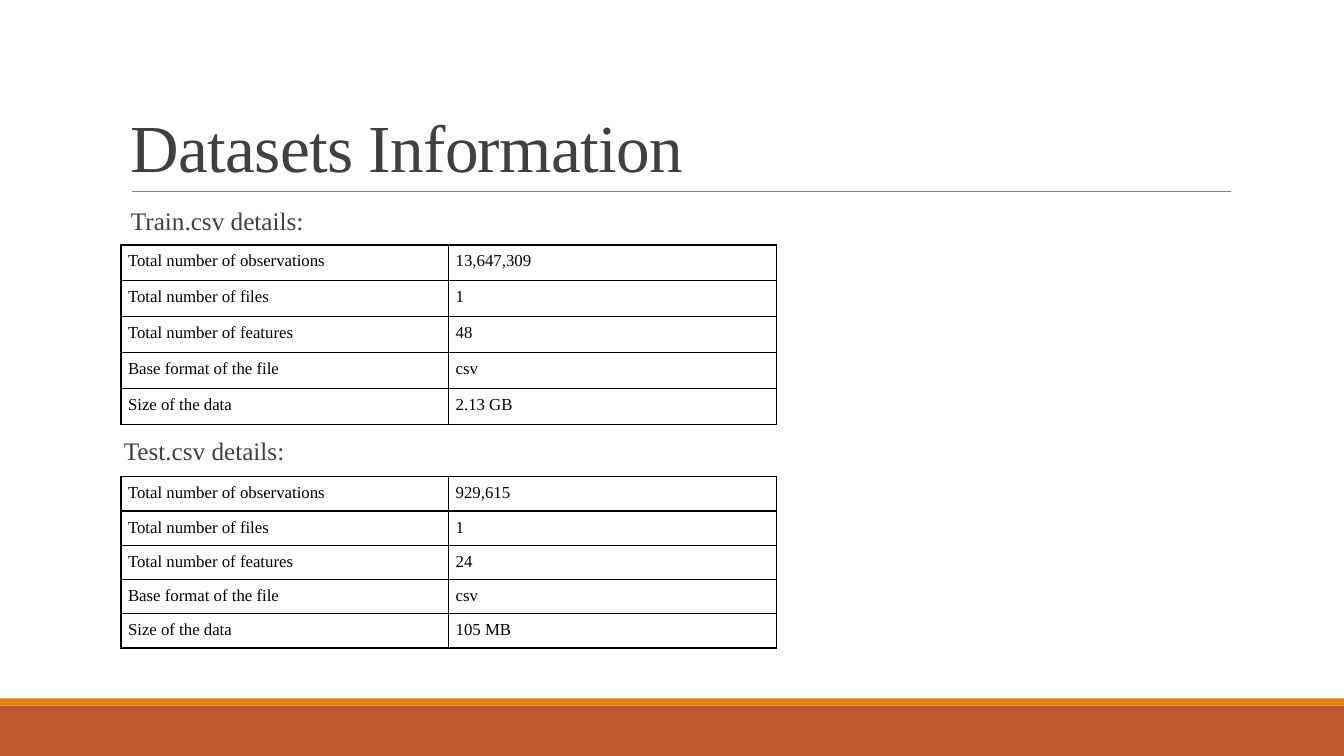
from lxml import etree
from pptx import Presentation
from pptx.dml.color import RGBColor
from pptx.enum.shapes import MSO_CONNECTOR, MSO_SHAPE
from pptx.enum.text import MSO_ANCHOR
from pptx.oxml.ns import qn
from pptx.util import Inches, Pt

RECTANGLE = MSO_SHAPE.RECTANGLE
STRAIGHT = MSO_CONNECTOR.STRAIGHT
TOP, BOTTOM = MSO_ANCHOR.TOP, MSO_ANCHOR.BOTTOM

FONT = "Times New Roman"
GREY, BLACK = "404040", "000000"
SLIDE_WIDTH, SLIDE_HEIGHT = 13.33, 7.5
TABLE_LEFT, TABLE_WIDTH = 1.2, 6.5
CELL_MARGIN = 0.07
LABELS = [
    "Total number of observations",
    "Total number of files",
    "Total number of features",
    "Base format of the file",
    "Size of the data",
]
TRAIN_VALUES = ["13,647,309", "1", "48", "csv", "2.13 GB"]
TEST_VALUES = ["929,615", "1", "24", "csv", "105 MB"]


def color(value):
    """Turn a hex string into a colour."""
    return RGBColor.from_string(value)


def format_runs(paragraph, size, hex_color):
    """Set the font of every run in a paragraph."""
    for run in paragraph.runs:
        run.font.name = FONT
        run.font.size = Pt(size)
        run.font.color.rgb = color(hex_color)


def add_text(slide, box, text, size, anchor=TOP, line_spacing=1.0):
    """Add a one-paragraph text box and return its paragraph."""
    text_frame = slide.shapes.add_textbox(*map(Inches, box)).text_frame
    text_frame.word_wrap = True
    text_frame.vertical_anchor = anchor
    text_frame.text = text
    paragraph = text_frame.paragraphs[0]
    paragraph.line_spacing = line_spacing
    format_runs(paragraph, size, GREY)
    return paragraph


def add_band(slide, box, hex_color):
    """Add a plain filled band."""
    band = slide.shapes.add_shape(RECTANGLE, *map(Inches, box))
    band.shadow.inherit = False
    band.fill.solid()
    band.fill.fore_color.rgb = color(hex_color)
    band.line.fill.background()


def add_footer(slide, top, stripe_height):
    """Add the footer band with a thin stripe along its upper edge."""
    add_band(slide, (0, top + stripe_height, SLIDE_WIDTH,
                     SLIDE_HEIGHT - top - stripe_height), "BD582C")
    add_band(slide, (0, top, SLIDE_WIDTH, stripe_height), "E48312")


def add_title(slide, box, text):
    """Add the title and the rule under it."""
    left, top, width, height = box
    bottom = top + height
    rule = slide.shapes.add_connector(
        STRAIGHT, Inches(left + 0.11), Inches(bottom),
        Inches(left + width + 0.01), Inches(bottom))
    rule.line.color.rgb = color("808080")
    rule.line.width = Pt(0.5)
    etree.SubElement(rule._element.spPr, qn("a:effectLst"))
    paragraph = add_text(slide, box, text, 48, BOTTOM, 0.85)
    for run in paragraph.runs:
        run._r.get_or_add_rPr().set("spc", "-50")


def add_borders(cell):
    """Draw a thin black line on each side of a cell."""
    properties = cell._tc.get_or_add_tcPr()
    for index, side in enumerate(("a:lnL", "a:lnR", "a:lnT", "a:lnB")):
        line = etree.Element(qn(side), w=str(Pt(1)))
        fill = etree.SubElement(line, qn("a:solidFill"))
        etree.SubElement(fill, qn("a:srgbClr"), val=BLACK)
        properties.insert(index, line)


def add_details_table(slide, box, values):
    """Add a two-column table of labels and values."""
    left, top, width, height = box
    table = slide.shapes.add_table(
        len(LABELS), 2, Inches(left), Inches(top),
        Inches(width), Inches(height)).table
    table.first_row = False
    table.horz_banding = False
    for row, texts in zip(table.rows, zip(LABELS, values)):
        for cell, text in zip(row.cells, texts):
            cell.text_frame.text = text
            format_runs(cell.text_frame.paragraphs[0], 12, BLACK)
            cell.margin_left = cell.margin_right = Inches(CELL_MARGIN)
            cell.margin_top = cell.margin_bottom = Inches(CELL_MARGIN)
            cell.fill.background()
            add_borders(cell)


def build_slide(slide):
    """Place the title, both dataset sections and the footer."""
    add_footer(slide, 6.93, 0.07)
    add_title(slide, (1.2, 1.08, 11, 0.82), "Datasets Information")
    add_text(slide, (1.2, 2.02, 11, 0.4), "Train.csv details:", 18,
             line_spacing=0.9)
    add_details_table(slide, (TABLE_LEFT, 2.43, TABLE_WIDTH, 1.78), TRAIN_VALUES)
    add_text(slide, (1.13, 4.27, 10.78, 0.4), "Test.csv details:", 18)
    add_details_table(slide, (TABLE_LEFT, 4.73, TABLE_WIDTH, 1.69), TEST_VALUES)


def main():
    """Create the presentation and save it."""
    presentation = Presentation()
    presentation.slide_width = Inches(SLIDE_WIDTH)
    presentation.slide_height = Inches(SLIDE_HEIGHT)
    build_slide(presentation.slides.add_slide(presentation.slide_layouts[6]))
    presentation.save("out.pptx")


if __name__ == "__main__":
    main()
